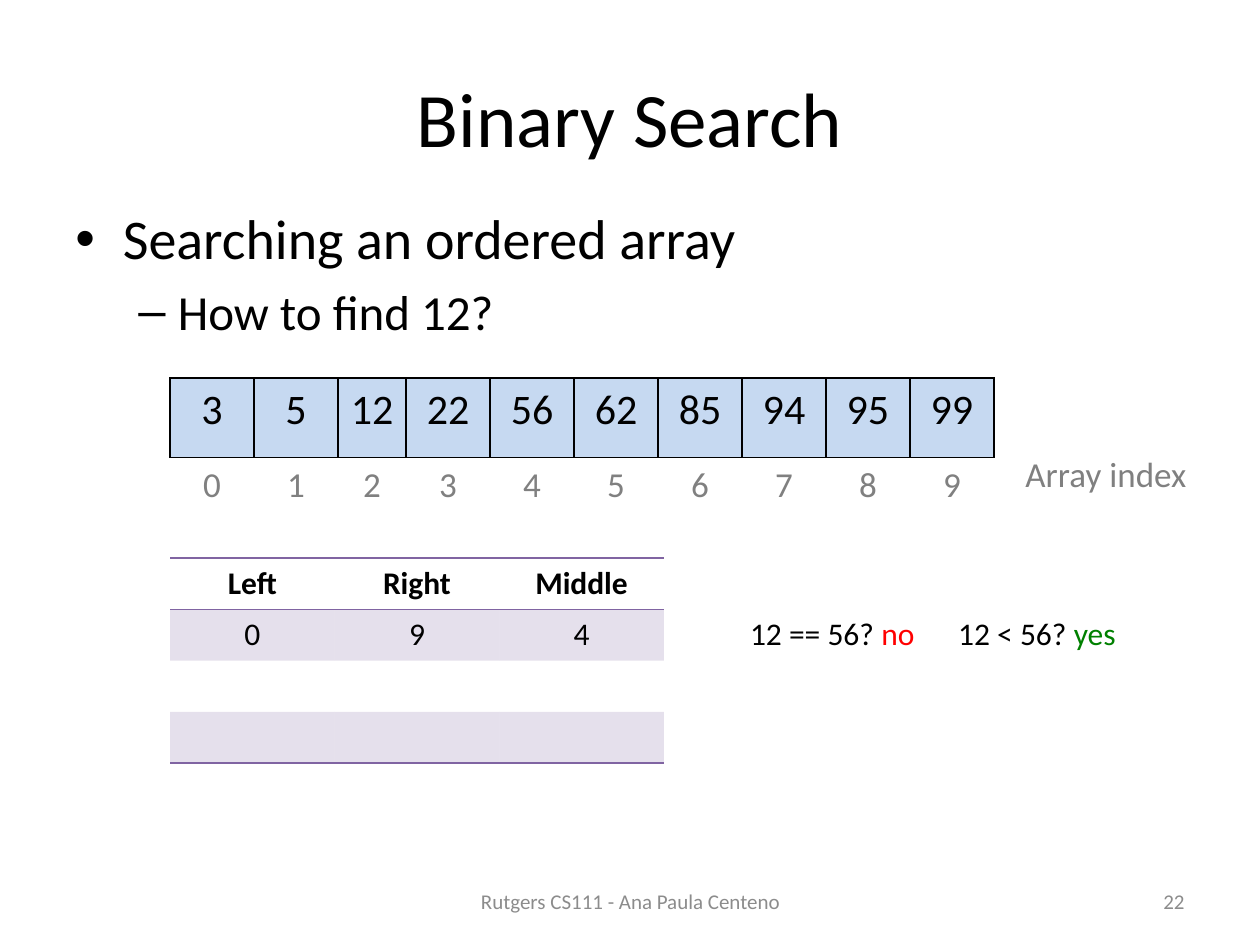
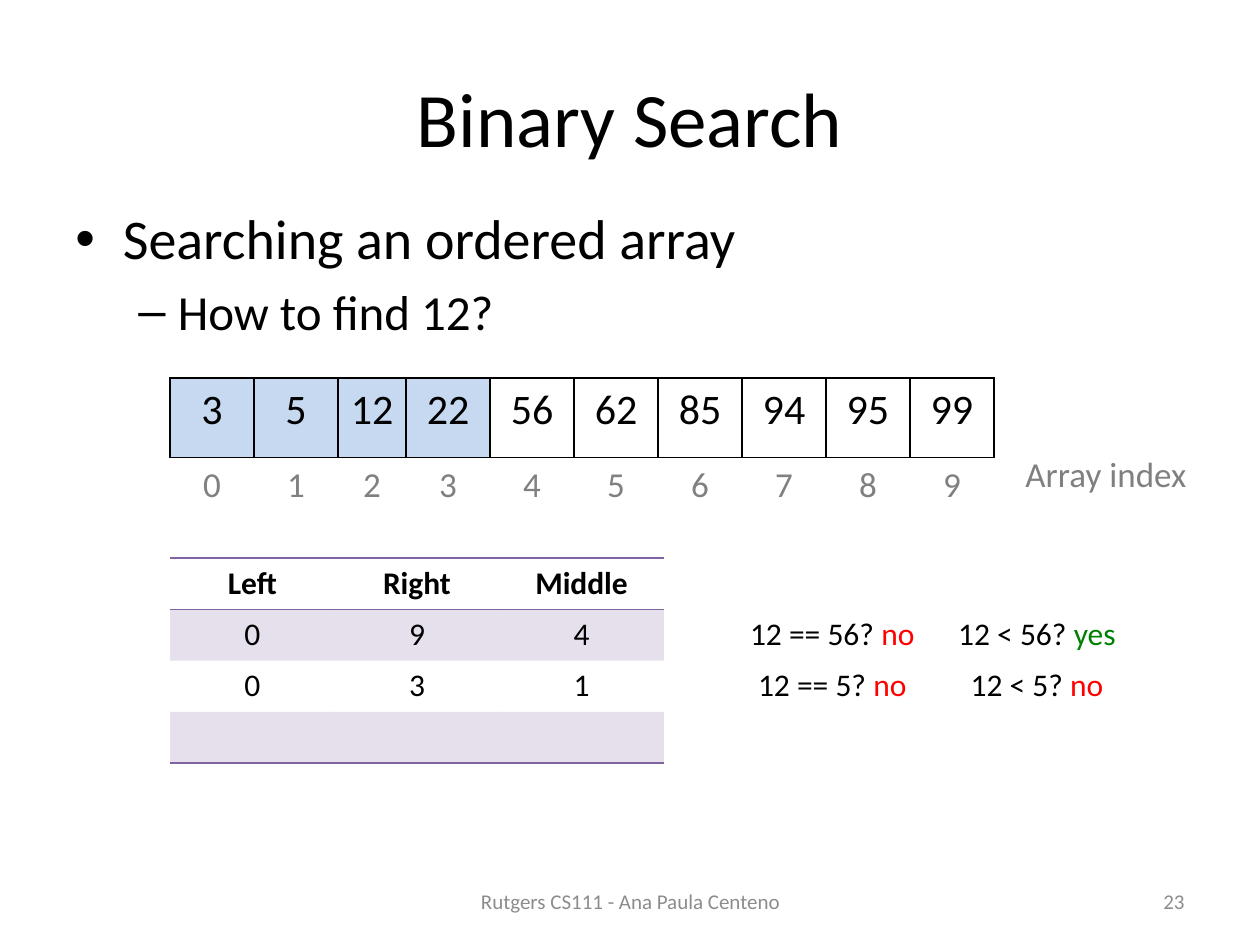
from dataclasses import dataclass

from lxml.etree import SubElement
from pptx import Presentation
from pptx.dml.color import RGBColor
from pptx.enum.text import MSO_ANCHOR, PP_ALIGN
from pptx.oxml.ns import qn
from pptx.util import Emu, Pt

PX = 3048
NO_STYLE = "{2D5ABB26-0587-4C30-8999-92F81FD0307C}"


@dataclass(frozen=True)
class Theme:
    font: str = "Calibri"
    ink: str = "000000"
    muted: str = "808080"
    footer: str = "8C8C8C"
    active: str = "C6D9F1"
    accent: str = "8064A2"
    no: str = "FF0000"
    yes: str = "008000"
    title_size: int = 44
    bullet_size: int = 32
    dash_size: int = 28
    value_size: int = 24
    index_size: int = 20
    table_size: int = 18
    footer_size: int = 12


THEME = Theme()
VALUES = [3, 5, 12, 22, 56, 62, 85, 94, 95, 99]
TARGET = 12
STEPS = [(0, 9, 4), (0, 3, 1)]
ROW_COUNT = 4
ROW_HEIGHT = 122


def px(length):
    return Emu(length * PX)


def write(paragraph, text, size, color=THEME.ink, bold=False, align=PP_ALIGN.LEFT):
    paragraph.alignment = align
    run = paragraph.add_run()
    run.text = str(text)
    run.font.name = THEME.font
    run.font.size = Pt(size)
    run.font.bold = bold
    run.font.color.rgb = RGBColor.from_string(color)


class Deck:
    def __init__(self, theme):
        self.theme = theme
        self.presentation = Presentation()
        self.presentation.slide_width = px(3000)
        self.presentation.slide_height = px(2250)
        self.slide = None

    def new_slide(self):
        layout = self.presentation.slide_layouts[6]
        self.slide = self.presentation.slides.add_slide(layout)

    def box(self, left, top, width, height, anchor=MSO_ANCHOR.TOP):
        shape = self.slide.shapes.add_textbox(px(left), px(top), px(width), px(height))
        frame = shape.text_frame
        frame.word_wrap = True
        frame.vertical_anchor = anchor
        return frame

    def label(self, text, left, top, width, height, anchor=MSO_ANCHOR.MIDDLE, **style):
        frame = self.box(left, top, width, height, anchor)
        write(frame.paragraphs[0], text, **style)

    def bullet(self, paragraph, text, mark, margin, hanging, size):
        properties = paragraph._p.get_or_add_pPr()
        properties.set("marL", str(px(margin)))
        properties.set("indent", str(-px(hanging)))
        SubElement(properties, qn("a:buFont"), typeface="Arial")
        SubElement(properties, qn("a:buChar"), char=mark)
        write(paragraph, text, size)

    def table(self, left, top, columns, rows):
        frame = self.slide.shapes.add_table(
            len(rows), len(columns), px(left), px(top), px(sum(columns)), px(sum(rows)))
        table = frame.table
        table.first_row = False
        table.horz_banding = False
        table._tbl.tblPr.find(qn("a:tableStyleId")).text = NO_STYLE
        for column, width in zip(table.columns, columns):
            column.width = px(width)
        for row, height in zip(table.rows, rows):
            row.height = px(height)
        return table

    def cell(self, cell, sides="", line=None, fill=None, alpha=None):
        properties = cell._tc.get_or_add_tcPr()
        for side in sides:
            border = SubElement(properties, qn(f"a:ln{side}"), w=str(Pt(1)))
            solid = SubElement(border, qn("a:solidFill"))
            SubElement(solid, qn("a:srgbClr"), val=line)
        if fill is None:
            cell.fill.background()
            return
        cell.fill.solid()
        cell.fill.fore_color.rgb = RGBColor.from_string(fill)
        if alpha:
            color = properties.find(f"{qn('a:solidFill')}/{qn('a:srgbClr')}")
            SubElement(color, qn("a:alpha"), val=str(alpha * 1000))

    def frame(self, number):
        theme = self.theme
        self.label("Binary Search", 150, 90, 2700, 375,
                   size=theme.title_size, align=PP_ALIGN.CENTER)
        body = self.box(150, 471, 2850, 561)
        self.bullet(body.paragraphs[0], "Searching an ordered array", "•", 113, 113,
                    theme.bullet_size)
        question = body.add_paragraph()
        question.space_before = Pt(5.6)
        self.bullet(question, f"How to find {TARGET}?", "–", 244, 94, theme.dash_size)
        small = dict(size=theme.footer_size, color=theme.footer)
        self.label("Rutgers CS111 - Ana Paula Centeno", 1026, 2085, 951, 120,
                   align=PP_ALIGN.CENTER, **small)
        self.label(number, 2151, 2085, 699, 120, align=PP_ALIGN.RIGHT, **small)

    def array(self, first, last):
        theme = self.theme
        columns = [162 if index == 2 else 200 for index in range(len(VALUES))]
        table = self.table(405, 900, columns, [189, 189])
        for index, value in enumerate(VALUES):
            top, bottom = table.cell(0, index), table.cell(1, index)
            write(top.text_frame.paragraphs[0], value, theme.value_size,
                  align=PP_ALIGN.CENTER)
            write(bottom.text_frame.paragraphs[0], index, theme.index_size,
                  color=theme.muted, align=PP_ALIGN.CENTER)
            self.cell(top, "LRTB", theme.ink,
                      theme.active if first <= index <= last else None)
            self.cell(bottom, "T", theme.ink)
        self.label("Array index", 2412, 1062, 477, 132, anchor=MSO_ANCHOR.TOP,
                   size=theme.index_size, color=theme.muted)

    def bounds(self, steps):
        theme = self.theme
        table = self.table(405, 1329, [392] * 3, [ROW_HEIGHT] * ROW_COUNT)
        for row, texts in enumerate([("Left", "Right", "Middle"), *steps]):
            for column, text in enumerate(texts):
                write(table.cell(row, column).text_frame.paragraphs[0], text,
                      theme.table_size, bold=row == 0, align=PP_ALIGN.CENTER)
        sides = {0: "TB", ROW_COUNT - 1: "B"}
        for row in range(ROW_COUNT):
            for column in range(3):
                self.cell(table.cell(row, column), sides.get(row, ""), theme.accent,
                          theme.accent if row % 2 else None, 20)

    def comparisons(self, steps):
        theme = self.theme
        table = self.table(1728, 1329, [507, 468], [ROW_HEIGHT] * ROW_COUNT)
        for cell in table.iter_cells():
            self.cell(cell)
        for row, (_, _, middle) in enumerate(steps, 1):
            value = VALUES[middle]
            checks = [("==", TARGET == value), ("<", TARGET < value)]
            for column, (operator, holds) in enumerate(checks):
                paragraph = table.cell(row, column).text_frame.paragraphs[0]
                answer, color = ("yes", theme.yes) if holds else ("no", theme.no)
                write(paragraph, f"{TARGET} {operator} {value}? ", theme.table_size,
                      align=PP_ALIGN.CENTER)
                write(paragraph, answer, theme.table_size, color=color,
                      align=PP_ALIGN.CENTER)


def main():
    deck = Deck(THEME)
    for count, (left, right, _) in enumerate(STEPS, 1):
        deck.new_slide()
        deck.frame(21 + count)
        deck.array(left, right)
        deck.bounds(STEPS[:count])
        deck.comparisons(STEPS[:count])
    deck.presentation.save("out.pptx")


if __name__ == "__main__":
    main()
